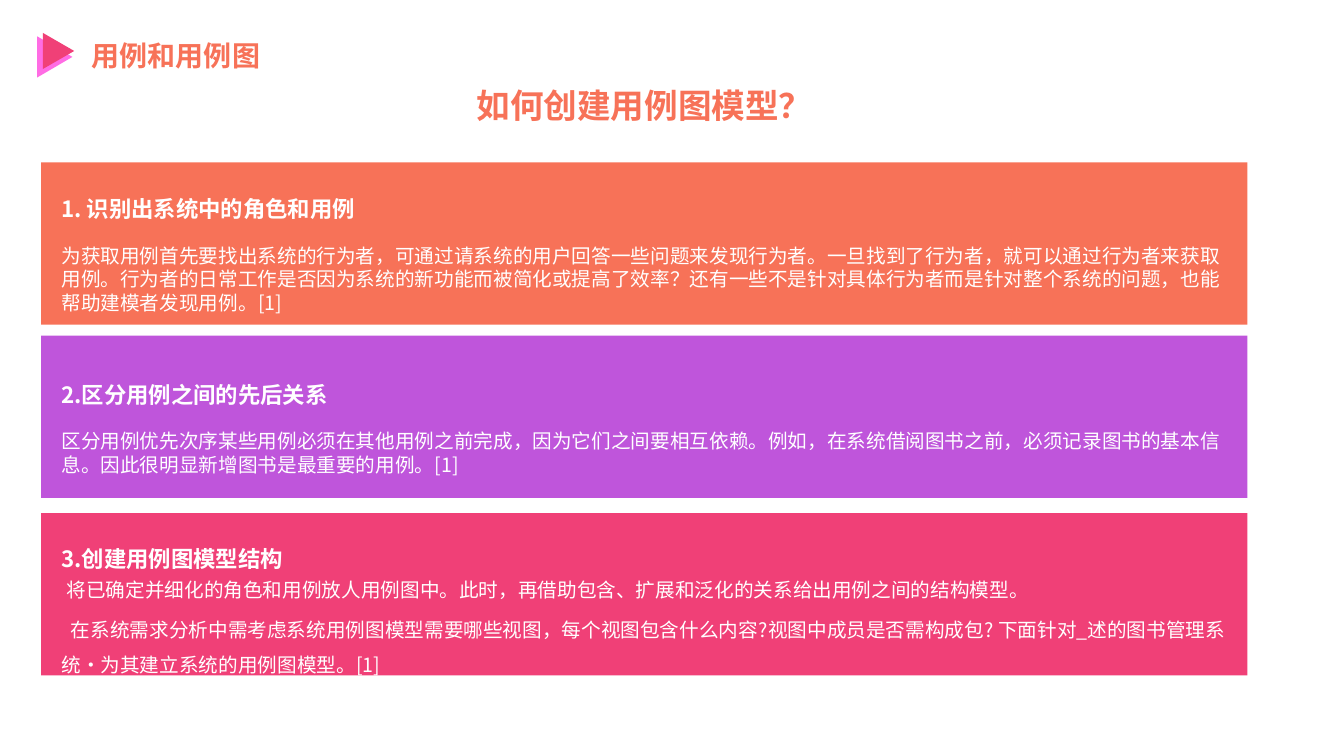
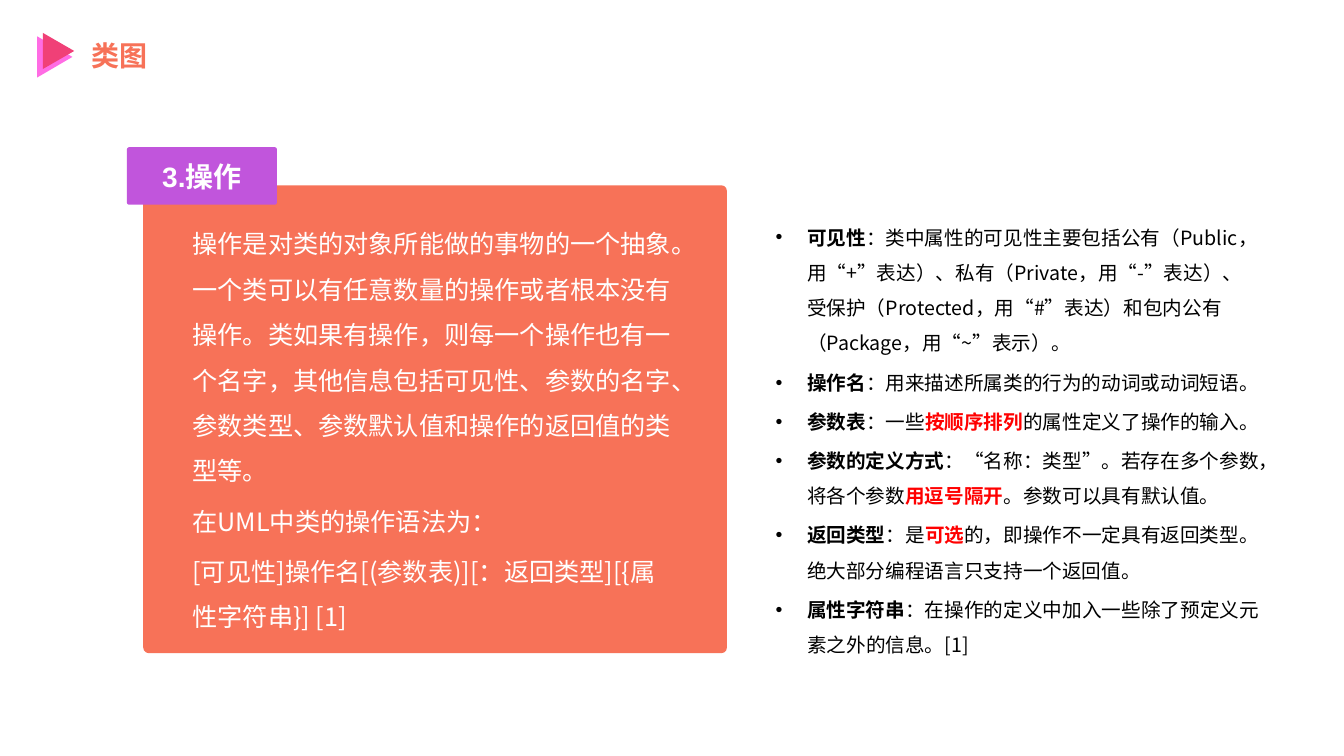
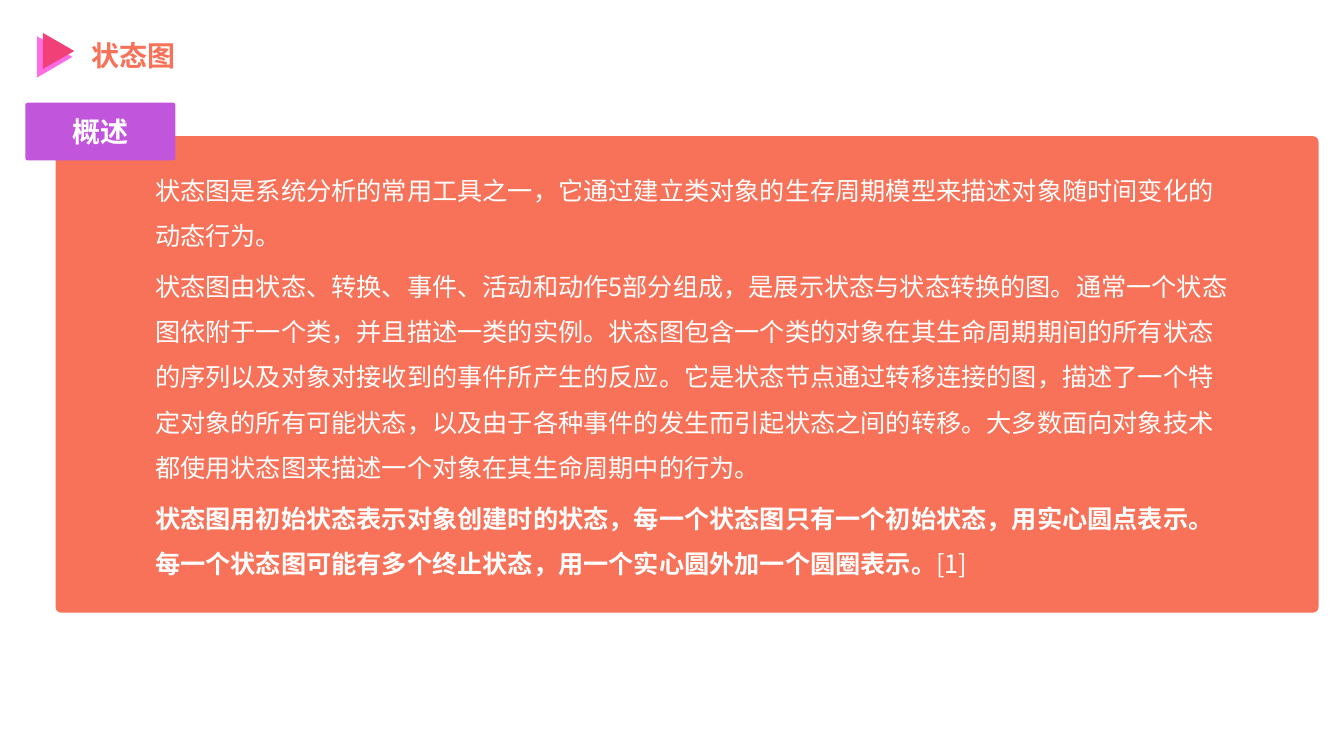
from collections import namedtuple

from lxml.etree import SubElement
from pptx import Presentation
from pptx.dml.color import RGBColor
from pptx.enum.shapes import MSO_SHAPE as Shape
from pptx.enum.text import MSO_ANCHOR as Anchor, MSO_AUTO_SIZE as Fit, PP_ALIGN as Align
from pptx.oxml.ns import qn
from pptx.util import Cm, Pt

CORAL = RGBColor(0xF7, 0x72, 0x58)
PINK = RGBColor(0xF0, 0x40, 0x77)
MAGENTA = RGBColor(0xFF, 0x6C, 0xE4)
PURPLE = RGBColor(0xBF, 0x55, 0xDB)
VIOLET = RGBColor(0xC1, 0x55, 0xDC)
RED = RGBColor(0xFF, 0x00, 0x00)
BLACK = RGBColor(0x00, 0x00, 0x00)
WHITE = RGBColor(0xFF, 0xFF, 0xFF)
SANS = "Noto Sans CJK SC"

Words = namedtuple("Words", "text bold color", defaults=(False, None))
Section = namedtuple("Section", "color band_top heading_top body_top heading body indents spacings")

SECTIONS = [
    Section(CORAL, 4.09, 4.8, 6.02, "1. 识别出系统中的角色和用例",
            ["为获取用例首先要找出系统的行为者，可通过请系统的用户回答一些问题来发现行为者。一旦找到了行为者，就可以通过行为者来获取用例。行为者的日常工作是否因为系统的新功能而被简化或提高了效率？还有一些不是针对具体行为者而是针对整个系统的问题，也能帮助建模者发现用例。[1]"],
            [0], [1]),
    Section(PURPLE, 8.46, 9.47, 10.69, "2.区分用例之间的先后关系",
            ["区分用例优先次序某些用例必须在其他用例之前完成，因为它们之间要相互依赖。例如，在系统借阅图书之前，必须记录图书的基本信息。因此很明显新增图书是最重要的用例。[1]"],
            [0], [1]),
    Section(PINK, 12.93, 13.61, 14.45, "3.创建用例图模型结构",
            ["将已确定并细化的角色和用例放人用例图中。此时，再借助包含、扩展和泛化的关系给出用例之间的结构模型。",
             "在系统需求分析中需考虑系统用例图模型需要哪些视图，每个视图包含什么内容?视图中成员是否需构成包? 下面针对_述的图书管理系统·为其建立系统的用例图模型。[1]"],
            [0.13, 0.24], [1, 1.5]),
]

OPERATION = [
    "操作是对类的对象所能做的事物的一个抽象。一个类可以有任意数量的操作或者根本没有操作。类如果有操作，则每一个操作也有一个名字，其他信息包括可见性、参数的名字、参数类型、参数默认值和操作的返回值的类型等。",
    "在UML中类的操作语法为：",
    "[可见性]操作名[(参数表)][：返回类型][{属性字符串}] [1]",
]

SYNTAX_PARTS = [
    [Words("可见性", True), Words("：类中属性的可见性主要包括公有（Public，用“+”表达）、私有（Private，用“-”表达）、受保护（Protected，用“#”表达）和包内公有（Package，用“~”表示）。")],
    [Words("操作名", True), Words("：用来描述所属类的行为的动词或动词短语。")],
    [Words("参数表", True), Words("：一些"), Words("按顺序排列", True, RED),
     Words("的属性定义了操作的输入。")],
    [Words("参数的定义方式", True), Words("：“名称：类型”。若存在多个参数，将各个参数"),
     Words("用逗号隔开", True, RED), Words("。参数可以具有默认值。")],
    [Words("返回类型", True), Words("：是"), Words("可选", True, RED),
     Words("的，即操作不一定具有返回类型。绝大部分编程语言只支持一个返回值。")],
    [Words("属性字符串", True), Words("：在操作的定义中加入一些除了预定义元素之外的信息。[1]")],
]

STATE_OVERVIEW = [
    "状态图是系统分析的常用工具之一，它通过建立类对象的生存周期模型来描述对象随时间变化的动态行为。",
    "状态图由状态、转换、事件、活动和动作5部分组成，是展示状态与状态转换的图。通常一个状态图依附于一个类，并且描述一类的实例。状态图包含一个类的对象在其生命周期期间的所有状态的序列以及对象对接收到的事件所产生的反应。它是状态节点通过转移连接的图，描述了一个特定对象的所有可能状态，以及由于各种事件的发生而引起状态之间的转移。大多数面向对象技术都使用状态图来描述一个对象在其生命周期中的行为。",
    [Words("状态图用初始状态表示对象创建时的状态，每一个状态图只有一个初始状态，用实心圆点表示。每一个状态图可能有多个终止状态，用一个实心圆外加一个圆圈表示。", True),
     Words("[1]")],
]


class Deck:
    """Hold the shared style and the slide being built."""

    def __init__(self):
        self.show = Presentation()
        self.show.slide_width, self.show.slide_height = Cm(33.87), Cm(19.05)
        self.slide = None

    def start_slide(self, title):
        """Start a slide with its title and the double arrow mark."""
        self.slide = self.show.slides.add_slide(self.show.slide_layouts[5])
        holder = self.slide.shapes.title
        holder.left, holder.top, holder.width, holder.height = map(Cm, (2.06, 0.84, 7.24, 1.12))
        self.fill_text(holder.text_frame, [[Words(title, True)]], 20, CORAL)
        for color, box in ((MAGENTA, (0.86, 0.99, 1.04, 0.89)), (PINK, (1.02, 0.89, 0.91, 0.79))):
            self.block(Shape.ISOSCELES_TRIANGLE, box, color).rotation = 90

    def block(self, kind, box, color, rounding=None):
        """Add a plain filled shape."""
        shape = self.slide.shapes.add_shape(kind, *map(Cm, box))
        shape.shadow.inherit = False
        shape.fill.solid()
        shape.fill.fore_color.rgb = color
        shape.line.fill.background()
        if rounding is not None:
            shape.adjustments[0] = rounding
        return shape

    def panel(self, box):
        """Add a large coral panel with slightly rounded corners."""
        self.block(Shape.ROUNDED_RECTANGLE, box, CORAL, 0.012)

    def tab(self, left, top, label):
        """Add the violet label that overlaps a panel corner."""
        shape = self.block(Shape.ROUNDED_RECTANGLE, (left, top, 3.78, 1.45), VIOLET, 0.039)
        self.fill_text(shape.text_frame, [[Words(label, True)]], 20, WHITE,
                       align=Align.CENTER, anchor=Anchor.MIDDLE, latin="Arial")

    def text(self, box, paragraphs, size, color, **layout):
        """Add a text box."""
        frame = self.slide.shapes.add_textbox(*map(Cm, box)).text_frame
        self.fill_text(frame, paragraphs, size, color, **layout)

    def fill_text(self, frame, paragraphs, size, color, spacings=None, indents=None,
                  bullet=None, align=Align.LEFT, anchor=Anchor.TOP, latin=SANS):
        """Fill a frame with paragraphs of styled runs."""
        frame.word_wrap = True
        frame.auto_size = Fit.NONE
        frame.vertical_anchor = anchor
        for index, content in enumerate(paragraphs):
            paragraph = frame.paragraphs[0] if index == 0 else frame.add_paragraph()
            paragraph.alignment = align
            spacing = spacings[index] if spacings else 1
            paragraph.line_spacing = float(spacing)
            paragraph.space_before = Pt(size * 0.2 if spacing > 1 else 0)
            properties = paragraph._p.get_or_add_pPr()
            if indents:
                properties.set("indent", str(Cm(indents[index])))
            if bullet:
                properties.set("marL", str(Cm(0.79)))
                properties.set("indent", str(-Cm(0.79)))
                SubElement(properties, qn("a:buFont")).set("typeface", "Arial")
                SubElement(properties, qn("a:buChar")).set("char", bullet)
            for words in [Words(content)] if isinstance(content, str) else content:
                run = paragraph.add_run()
                run.text = words.text
                run.font.size = Pt(size)
                run.font.bold = words.bold
                run.font.color.rgb = words.color or color
                run.font.name = latin
                SubElement(run.font._element, qn("a:ea")).set("typeface", SANS)


def use_case_slide(deck):
    """Build the three steps of a use case model."""
    deck.start_slide("用例和用例图")
    for section in SECTIONS:
        deck.block(Shape.RECTANGLE, (1.04, section.band_top, 30.4, 4.09), section.color)
        deck.text((1.3, section.heading_top, 9.55, 0.94), [[Words(section.heading, True)]], 16, WHITE)
        deck.text((1.3, section.body_top, 29.87, 2.06), section.body, 14, WHITE,
                  spacings=section.spacings, indents=section.indents)
    deck.text((11.33, 2.01, 9.83, 1.27), [[Words("如何创建用例图模型？", True)]], 24, CORAL,
              align=Align.CENTER)


def class_slide(deck):
    """Build the operations of a class diagram."""
    deck.start_slide("类图")
    deck.panel((3.61, 4.67, 14.71, 11.79))
    deck.text((4.6, 5.26, 12.73, 11.2), OPERATION, 18, WHITE, spacings=[1.5] * len(OPERATION))
    deck.tab(3.2, 3.71, "3.操作")
    deck.text((19.3, 5.26, 12.73, 12.65), SYNTAX_PARTS, 14, BLACK,
              spacings=[1.5] * len(SYNTAX_PARTS), bullet="•")


def state_slide(deck):
    """Build the overview of state diagrams."""
    deck.start_slide("状态图")
    deck.panel((1.4, 3.43, 31.83, 12.01))
    deck.text((3.66, 3.91, 27.53, 11.5), STATE_OVERVIEW, 18, WHITE,
              spacings=[1.5] * len(STATE_OVERVIEW))
    deck.tab(0.64, 2.59, "概述")


def main():
    """Build and save the slides."""
    deck = Deck()
    use_case_slide(deck)
    class_slide(deck)
    state_slide(deck)
    deck.show.save("out.pptx")


if __name__ == "__main__":
    main()
